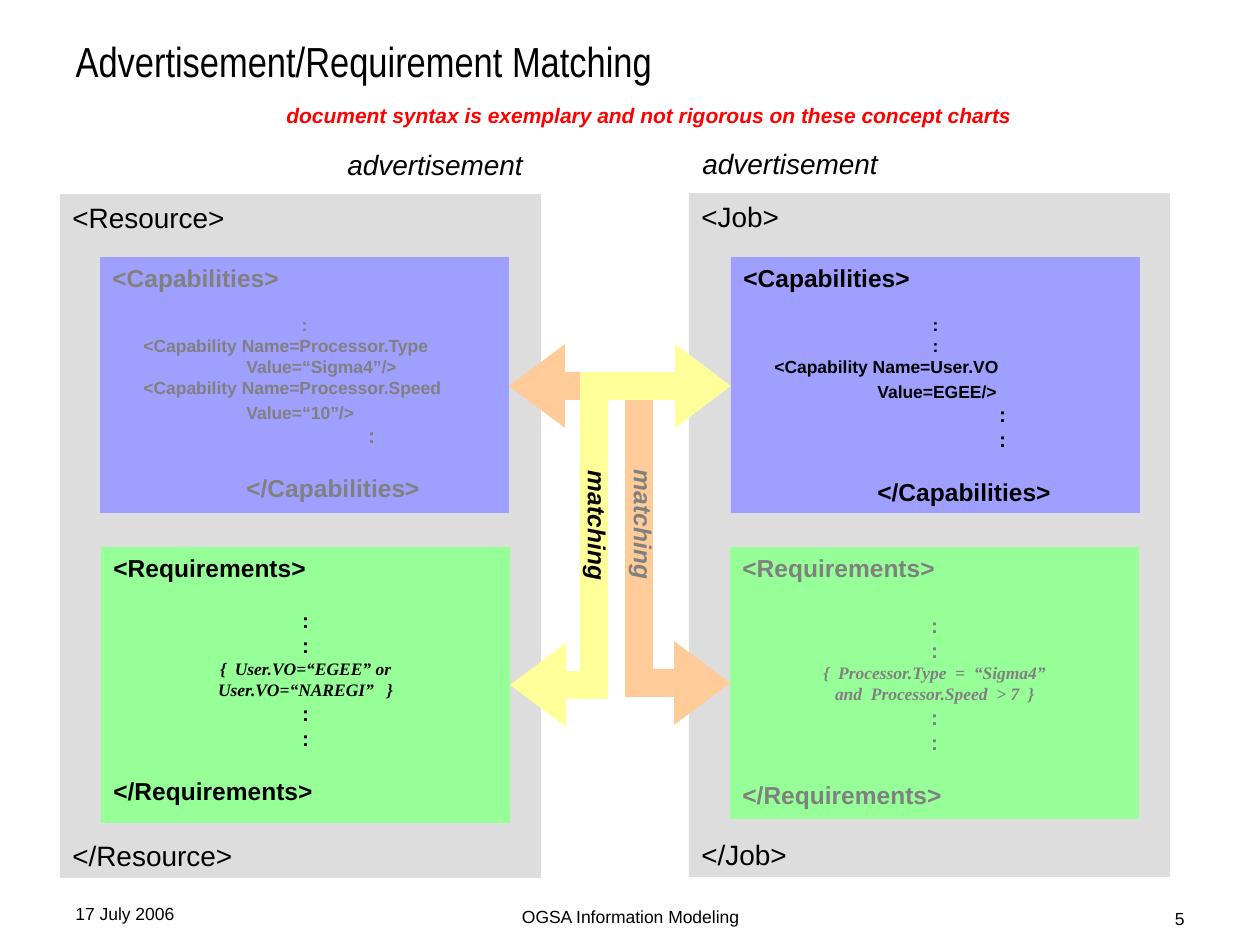
from dataclasses import dataclass
from typing import NamedTuple

from lxml import etree
from pptx import Presentation
from pptx import util as u
from pptx.dml.color import RGBColor
from pptx.enum import shapes, text
from pptx.oxml import ns

SCALE = 914400 / 126
LEFT, MID, RIGHT = text.PP_ALIGN.LEFT, text.PP_ALIGN.CENTER, text.PP_ALIGN.RIGHT


@dataclass(frozen=True)
class Theme:
    black: str = "000000"
    dim: str = "808080"
    red: str = "FF0000"
    gray: str = "DDDDDD"
    blue: str = "9F9FFF"
    green: str = "97FF97"
    peach: str = "FFCC99"
    yellow: str = "FFFF99"
    sans: str = "Arial"
    narrow: str = "Arial Narrow"
    serif: str = "Times New Roman"
    title: int = 24
    head: int = 16
    tag: int = 14
    note: int = 12
    code: int = 10
    bar: int = 16
    lead: float = 1.2


T = Theme()


class Box(NamedTuple):
    x: int
    y: int
    w: int
    h: int


class Line(NamedTuple):
    text: str
    size: int
    gap: float = 0
    align: int = LEFT
    bold: bool = False
    slant: bool = False
    font: str = T.sans
    edge: int = 0
    hang: int = 0


class Panel(NamedTuple):
    box: Box
    fill: str
    ink: str
    lines: list[Line]


class Arrow(NamedTuple):
    start: tuple[int, int]
    end: tuple[int, int]
    color: str
    bend: int
    label: Box
    ink: str


def px(n: int) -> int:
    return round(n * SCALE)


def write(frame, lines: list[Line], ink: str) -> None:
    for i, line in enumerate(lines):
        para = frame.paragraphs[0] if i == 0 else frame.add_paragraph()
        para.text = line.text
        para.alignment = line.align
        para.line_spacing = u.Pt(line.size * T.lead)
        para.space_before = u.Pt(line.gap)
        props = para._p.get_or_add_pPr()
        props.set("marL", str(px(line.edge)))
        props.set("indent", str(-px(line.hang)))
        font = para.font
        font.name, font.size = line.font, u.Pt(line.size)
        font.bold, font.italic = line.bold, line.slant
        font.color.rgb = RGBColor.from_string(ink)


def draw_panel(slide, panel: Panel) -> None:
    shape = slide.shapes.add_shape(shapes.MSO_SHAPE.RECTANGLE, *map(px, panel.box))
    shape.shadow.inherit = False
    shape.fill.solid()
    shape.fill.fore_color.rgb = RGBColor.from_string(panel.fill)
    shape.line.fill.background()
    frame = shape.text_frame
    frame.word_wrap = True
    frame.vertical_anchor = text.MSO_ANCHOR.TOP
    write(frame, panel.lines, panel.ink)


def draw_text(slide, box: Box, line: Line, ink: str = T.black, turn: int = 0) -> None:
    shape = slide.shapes.add_textbox(*map(px, box))
    shape.rotation = turn
    shape.text_frame.word_wrap = False
    write(shape.text_frame, [line], ink)


def draw_arrow(slide, arrow: Arrow) -> None:
    link = slide.shapes.add_connector(
        shapes.MSO_CONNECTOR.ELBOW, *map(px, arrow.start + arrow.end))
    link.line.width = u.Pt(T.bar)
    link.line.color.rgb = RGBColor.from_string(arrow.color)
    props = link._element.spPr
    guides = props.find(ns.qn("a:prstGeom")).get_or_add_avLst()
    etree.SubElement(guides, ns.qn("a:gd"), name="adj1", fmla=f"val {arrow.bend}")
    stroke = link.line._get_or_add_ln()
    etree.SubElement(stroke, ns.qn("a:miter"), lim="800000")
    for tip in ("a:headEnd", "a:tailEnd"):
        etree.SubElement(stroke, ns.qn(tip), type="triangle", w="med", len="sm")
    etree.SubElement(props, ns.qn("a:effectLst"))
    draw_text(slide, arrow.label, Line("matching", T.tag, bold=True, slant=True),
              arrow.ink, 90)


def tag(name: str, gap: float = 0, edge: int = 0) -> Line:
    return Line(name, T.tag, gap, bold=True, edge=edge)


def dots(size: int, gap: float = 0, edge: int = 0) -> Line:
    return Line(":", size, gap, MID, True, edge=edge)


def item(words: str, gap: float = 0, hang: int = 0) -> Line:
    return Line(words, T.code, gap, bold=True, edge=134, hang=hang)


def rule(words: str) -> Line:
    return Line(words, T.code, 0, MID, True, True, T.serif)


def outer(name: str) -> list[Line]:
    return [Line(f"<{name}>", T.head), Line(f"</{name}>", T.head, 345.6)]


def needs(gap: float, rules: list[str]) -> list[Line]:
    return [tag("<Requirements>"), dots(T.note, gap), dots(T.note),
            *map(rule, rules), dots(T.note), dots(T.note),
            tag("</Requirements>", 14.4)]


def skills(body: list[Line]) -> list[Line]:
    return [tag("<Capabilities>"), dots(T.code, 12), *body,
            tag("</Capabilities>", 14.4, 134)]


PANELS = [
    Panel(Box(60, 194, 481, 684), T.gray, T.black, outer("Resource")),
    Panel(Box(101, 547, 409, 276), T.green, T.black, needs(
        14.4, ["{  User.VO=“EGEE” or", "User.VO=“NAREGI”   }"])),
    Panel(Box(689, 193, 481, 684), T.gray, T.black, outer("Job")),
    Panel(Box(731, 257, 409, 256), T.blue, T.black, skills([
        dots(T.code),
        item("<Capability Name=User.VO", hang=103),
        item("Value=EGEE/>", 2.4),
        dots(T.note, edge=134), dots(T.note, edge=134)])),
    Panel(Box(730, 547, 409, 272), T.green, T.dim, needs(
        16.8, ["{  Processor.Type  =  “Sigma4”", "and  Processor.Speed  > 7  }"])),
    Panel(Box(100, 257, 409, 256), T.blue, T.dim, skills([
        item("<Capability Name=Processor.Type", hang=103),
        item("Value=“Sigma4”/>"),
        item("<Capability Name=Processor.Speed", hang=103),
        item("Value=“10”/>", 2.4),
        dots(T.note, edge=134)])),
]
ARROWS = [
    Arrow((509, 386), (730, 683), T.peach, 59000, Box(576, 503, 134, 43), T.dim),
    Arrow((510, 685), (731, 386), T.yellow, 38100, Box(530, 504, 134, 43), T.black),
]
NOTES = [
    (Box(335, 141, 210, 47), Line("advertisement", T.head, slant=True), T.black),
    (Box(690, 140, 210, 47), Line("advertisement", T.head, slant=True), T.black),
    (Box(274, 96, 755, 38), Line(
        "document syntax is exemplary and not rigorous on these concept charts",
        T.note, bold=True, slant=True), T.red),
]
FEET = [
    (Box(431, 900, 399, 26), Line("OGSA Information Modeling", T.code, align=MID)),
    (Box(903, 902, 294, 24), Line("5", T.code, align=RIGHT)),
    (Box(63, 897, 294, 29), Line("17 July 2006", T.code)),
]


def main() -> None:
    deck = Presentation()
    deck.slide_width, deck.slide_height = px(1260), px(945)
    slide = deck.slides.add_slide(deck.slide_layouts[5])
    title = slide.shapes.title
    title.left, title.top, title.width, title.height = map(px, Box(63, 37, 1134, 47))
    title.text_frame.auto_size = text.MSO_AUTO_SIZE.NONE
    title.text_frame.vertical_anchor = text.MSO_ANCHOR.MIDDLE
    write(title.text_frame, [Line("Advertisement/Requirement Matching", T.title,
                                  font=T.narrow)], T.black)
    for panel in PANELS:
        draw_panel(slide, panel)
    for arrow in ARROWS:
        draw_arrow(slide, arrow)
    for note in NOTES + FEET:
        draw_text(slide, *note)
    deck.save("out.pptx")


if __name__ == "__main__":
    main()
